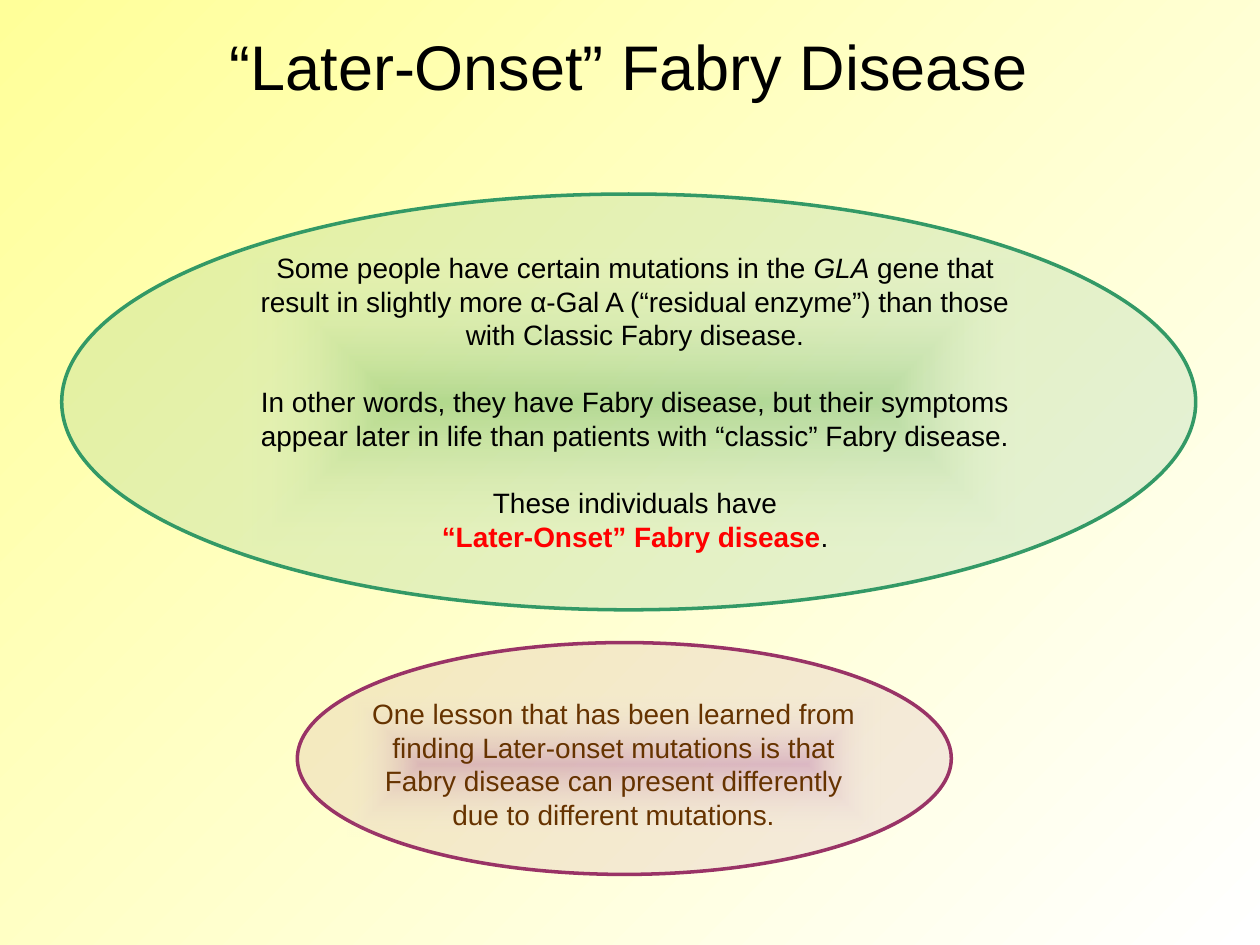
"""Build the slide on later-onset Fabry disease."""
import pptx
import pptx.dml.color
import pptx.enum.shapes
import pptx.enum.text
import pptx.oxml.ns
import pptx.oxml.xmlchemy
import pptx.util

Inches, Pt, qn = pptx.util.Inches, pptx.util.Pt, pptx.oxml.ns.qn
OxmlElement = pptx.oxml.xmlchemy.OxmlElement
SHAPE = pptx.enum.shapes.MSO_SHAPE
ANCHOR = pptx.enum.text.MSO_ANCHOR

COLORS = {
    "black": "000000", "white": "FFFFFF", "yellow": "FFFF99", "red": "FF0000",
    "brown": "663300", "green": "339966", "deep green": "008000",
    "plum": "993366", "purple": "800080",
}
FONT = "Arial"
LINE_PITCH = 19.2

TITLE = [(0, [("“Later-Onset” Fabry Disease", {})])]
DEFINITION = [
    (0, [("Some people have certain mutations in the ", {}), ("GLA", {"italic": True}),
         (" gene that result in slightly more α-Gal A (“residual enzyme”) than those "
          "with Classic Fabry disease.", {})]),
    (LINE_PITCH, [("In other words, they have Fabry disease, but their symptoms appear "
                   "later in life than patients with “classic” Fabry disease.", {})]),
    (LINE_PITCH, [("These individuals have", {})]),
    (0, [("“Later-Onset” Fabry disease", {"bold": True, "color": "red"}), (".", {})]),
]
LESSON = [
    (0, [("One lesson that has been learned from finding Later-onset mutations is that "
          "Fabry disease can present differently due to different mutations.", {})]),
]
BUBBLES = [
    {"oval": (0.49, 1.54, 9, 3.3), "edge": "green", "opacity": 13,
     "panel": (1.89, 1.94, 6.3, 2.5), "glow": "deep green",
     "text": DEFINITION, "ink": "black"},
    {"oval": (2.36, 5.1, 5.19, 1.84), "edge": "plum", "opacity": 10,
     "panel": (2.75, 5.48, 4.24, 1.17), "glow": "purple",
     "text": LESSON, "ink": "brown"},
]


def rgb(name):
    return pptx.dml.color.RGBColor.from_string(COLORS[name])


def set_opacity(clr, percent):
    alpha = OxmlElement("a:alpha")
    alpha.set("val", str(percent * 1000))
    clr.append(alpha)


def write(sp, paragraphs, size, ink, anchor, pitch=None):
    tf = sp.text_frame
    tf.word_wrap = True
    tf.vertical_anchor = anchor
    for i, (before, runs) in enumerate(paragraphs):
        p = tf.add_paragraph() if i else tf.paragraphs[0]
        p.alignment = pptx.enum.text.PP_ALIGN.CENTER
        p.space_before = Pt(before)
        if pitch:
            p.line_spacing = Pt(pitch)
        for text, style in runs:
            r = p.add_run()
            r.text = text
            r.font.name, r.font.size = FONT, Pt(size)
            r.font.bold = style.get("bold", False)
            r.font.italic = style.get("italic", False)
            r.font.color.rgb = rgb(style.get("color", ink))


def fill_glow(sp, color):
    sp.fill.gradient()
    for stop, name in zip(sp.fill.gradient_stops, (color, "white")):
        stop.color.rgb = rgb(name)
    grad = sp._element.spPr.find(qn("a:gradFill"))
    for clr, percent in zip(grad.iter(qn("a:srgbClr")), (21, 0)):
        set_opacity(clr, percent)
    shade = OxmlElement("a:path")
    shade.set("path", "rect")
    center = OxmlElement("a:fillToRect")
    for side in "ltrb":
        center.set(side, "50000")
    shade.append(center)
    grad.replace(grad.find(qn("a:lin")), shade)


def add_bubble(s, bubble):
    group = s.shapes.add_group_shape()
    oval = group.shapes.add_shape(SHAPE.OVAL, *map(Inches, bubble["oval"]))
    oval.shadow.inherit = False
    oval.fill.solid()
    oval.fill.fore_color.rgb = rgb(bubble["edge"])
    set_opacity(oval._element.spPr.find(qn("a:solidFill"))[0], bubble["opacity"])
    oval.line.color.rgb = rgb(bubble["edge"])
    oval.line.width = Pt(2)

    panel = group.shapes.add_shape(SHAPE.RECTANGLE, *map(Inches, bubble["panel"]))
    panel.shadow.inherit = False
    panel.line.fill.background()
    fill_glow(panel, bubble["glow"])
    write(panel, bubble["text"], 16, bubble["ink"], ANCHOR.TOP, LINE_PITCH)


def main():
    prs = pptx.Presentation()
    prs.slide_width, prs.slide_height = Inches(10), Inches(7.5)
    s = prs.slides.add_slide(prs.slide_layouts[6])
    fill = s.background.fill
    fill.gradient()
    fill.gradient_angle = 315
    for stop, name in zip(fill.gradient_stops, ("yellow", "white")):
        stop.color.rgb = rgb(name)

    title = s.shapes.add_textbox(*map(Inches, (0.49, 0.03, 9, 0.97)))
    write(title, TITLE, 36, "black", ANCHOR.MIDDLE)
    for bubble in BUBBLES:
        add_bubble(s, bubble)
    prs.save("out.pptx")


if __name__ == "__main__":
    main()
